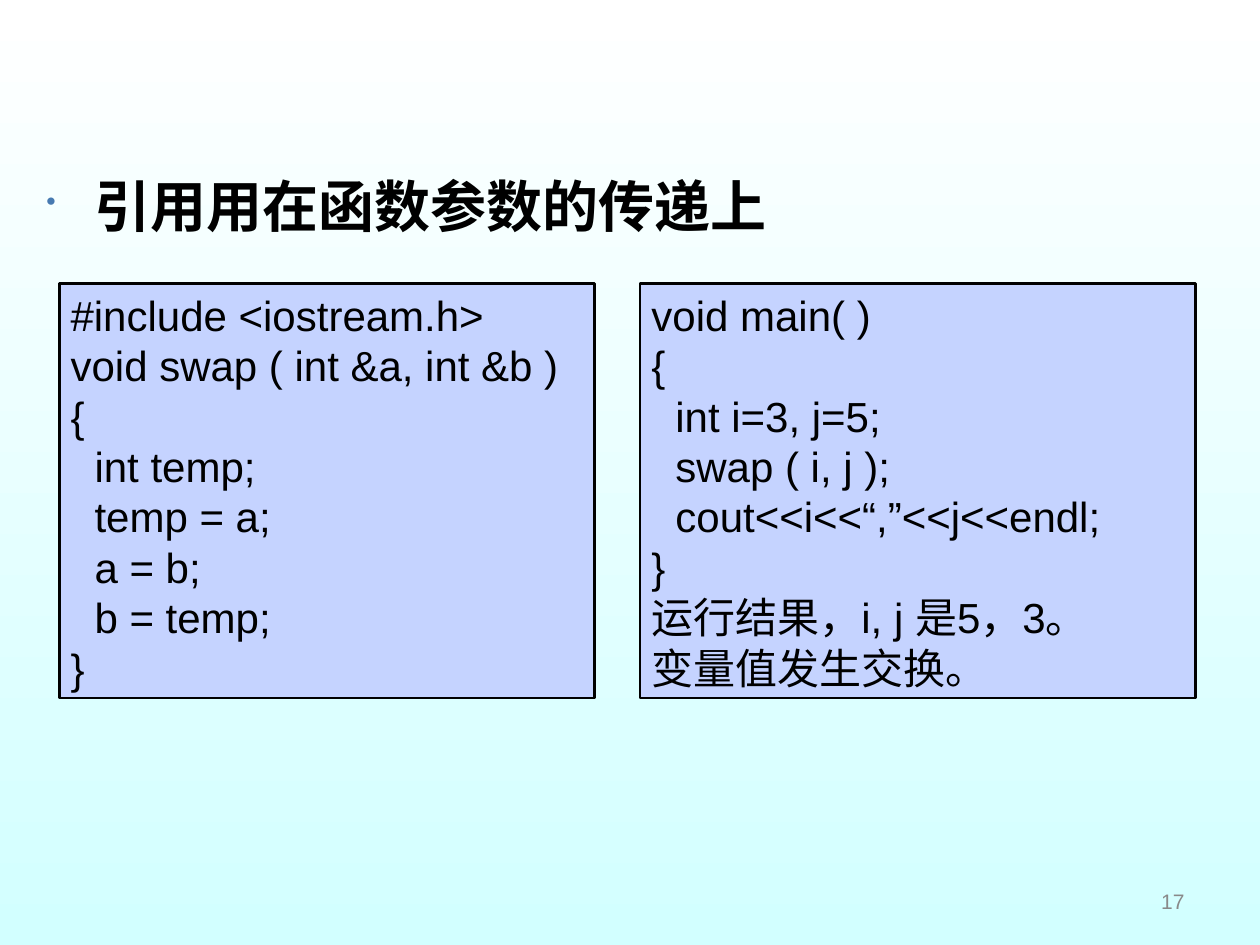
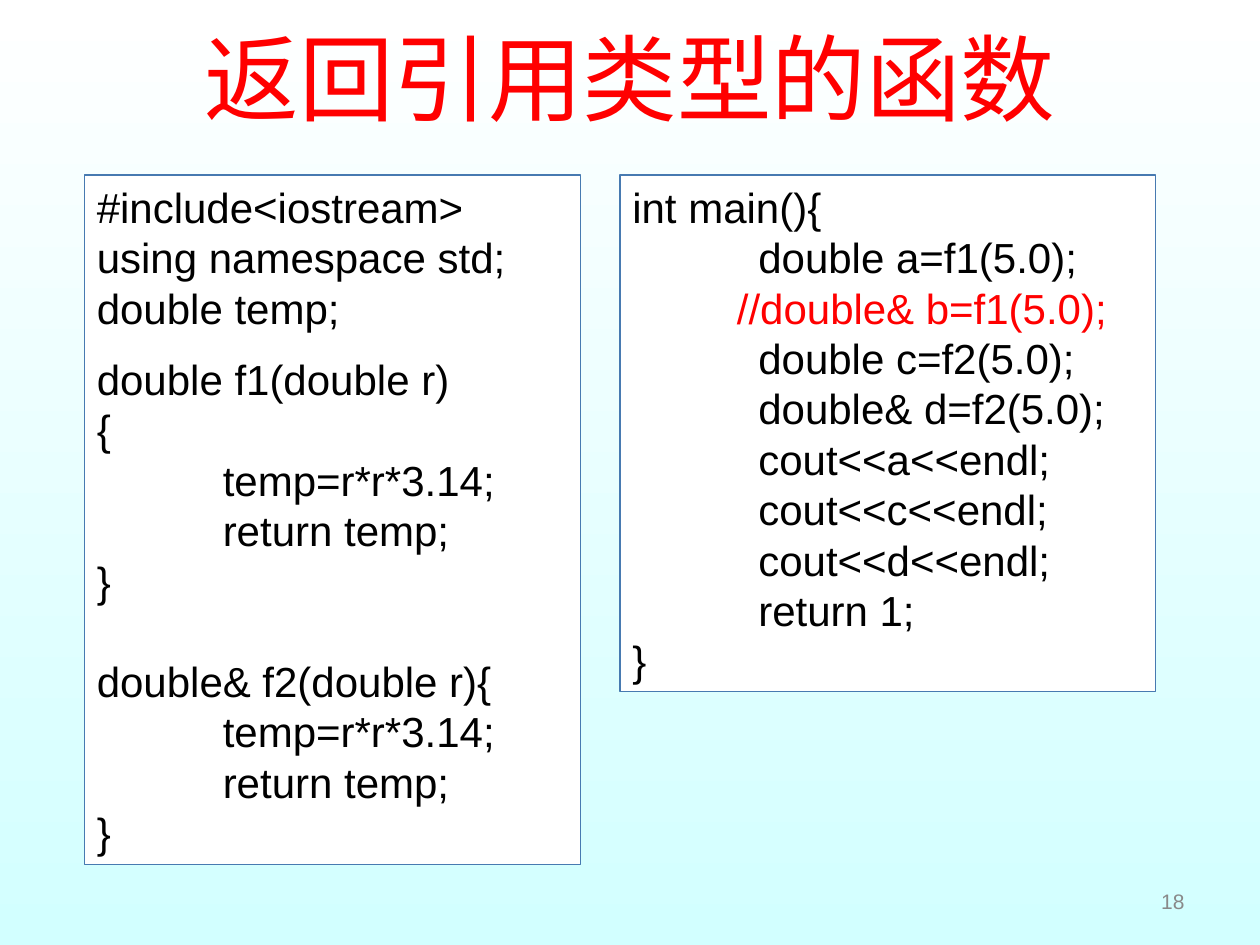
from pptx import Presentation
from pptx.dml.color import RGBColor as RGB
from pptx.enum.shapes import MSO_SHAPE as Shape
from pptx.enum.text import MSO_ANCHOR as Anchor, PP_ALIGN as Align
from pptx.oxml import parse_xml
from pptx.oxml.ns import nsdecls
from pptx.util import Inches, Pt

BLACK = RGB(0, 0, 0)
WHITE = RGB(255, 255, 255)
AQUA = RGB(0xD2, 0xFF, 0xFF)
BLUE = RGB(0x47, 0x7A, 0xB1)
LILAC = RGB(0xC5, 0xD3, 0xFF)
GRAY = RGB(0x89, 0x89, 0x89)
RED = RGB(255, 0, 0)


def write(par, text, size=24, font="Arial", color=BLACK, bold=False,
          align=Align.LEFT, indent=0, gap=0, lead=None):
    par.alignment = align
    par.space_before = Pt(gap)
    if lead:
        par.line_spacing = lead
    if indent:
        par._p.get_or_add_pPr().set("marL", str(Inches(indent)))
    run = par.add_run()
    run.text = text
    run.font.size = Pt(size)
    run.font.name = font
    run.font.bold = bold
    run.font.color.rgb = color


class Deck:
    def __init__(self):
        self.prs = Presentation()
        self.prs.slide_width = Inches(10)
        self.prs.slide_height = Inches(7.5)

    def page(self, number):
        self.slide = self.prs.slides.add_slide(self.prs.slide_layouts[6])
        fill = self.slide.background.fill
        fill.gradient()
        fill.gradient_angle = 270
        for stop, color in zip(fill.gradient_stops, (WHITE, AQUA)):
            stop.color.rgb = color
        self.label((7.17, 6.95, 2.33, 0.4), str(number), size=12,
                   color=GRAY, align=Align.RIGHT)

    def label(self, box, text, anchor=Anchor.MIDDLE, **style):
        frame = self.slide.shapes.add_textbox(*map(Inches, box)).text_frame
        frame.word_wrap = True
        frame.vertical_anchor = anchor
        write(frame.paragraphs[0], text, **style)
        return frame.paragraphs[0]

    def title(self, text):
        self.label((0.5, 0.3, 9, 0.61), text, size=54, font="Roboto",
                   color=RED, align=Align.CENTER)

    def bullet(self, text):
        par = self.label((0.27, 1.15, 9.37, 6.06), text, anchor=Anchor.TOP,
                         size=32, font="Cambria", bold=True,
                         indent=0.38, gap=8, lead=1.3)
        props = par._p.get_or_add_pPr()
        props.set("indent", str(-Inches(0.38)))
        for mark in (f'<a:buClr {nsdecls("a")}><a:srgbClr val="{BLUE}"/></a:buClr>',
                     f'<a:buSzPct {nsdecls("a")} val="50000"/>',
                     f'<a:buChar {nsdecls("a")} char="•"/>'):
            props.append(parse_xml(mark))

    def code(self, box, lines, fill=WHITE, edge=BLUE, width=0.74,
             anchor=Anchor.TOP, inset=0.1):
        rect = self.slide.shapes.add_shape(Shape.RECTANGLE, *map(Inches, box))
        rect.shadow.inherit = False
        rect.fill.solid()
        rect.fill.fore_color.rgb = fill
        rect.line.color.rgb = edge
        rect.line.width = Pt(width)
        frame = rect.text_frame
        frame.word_wrap = True
        frame.vertical_anchor = anchor
        frame.margin_left = frame.margin_right = Inches(inset)
        for row, (text, style) in enumerate(lines):
            par = frame.add_paragraph() if row else frame.paragraphs[0]
            write(par, text, **style)


def rows(*texts, **style):
    return [(text, style) for text in texts]


deck = Deck()

deck.page(17)
deck.bullet("引用用在函数参数的传递上")
look = dict(fill=LILAC, edge=BLACK, width=1.5, anchor=Anchor.MIDDLE, inset=0.09)
deck.code((0.47, 2.25, 4.25, 3.29),
          rows("#include <iostream.h>", "void swap ( int &a, int &b )", "{")
          + rows("int temp;", "temp = a;", "a = b;", "b = temp;", indent=0.19)
          + rows("}"), **look)
deck.code((5.08, 2.25, 4.41, 3.29),
          rows("void main( )", "{")
          + rows("int i=3, j=5;", "swap ( i, j );", "cout<<i<<“,”<<j<<endl;",
                 indent=0.19)
          + rows("}", "运行结果，i, j 是5，3。", "变量值发生交换。"), **look)

deck.page(18)
deck.title("返回引用类型的函数")
body = rows("temp=r*r*3.14;", "return temp;", indent=1)
deck.code((0.67, 1.39, 3.94, 5.47),
          rows("#include<iostream>", "using namespace std;", "double temp;")
          + rows("double f1(double r)", gap=12) + rows("{") + body + rows("}")
          + rows("double& f2(double r){", gap=28.5) + body + rows("}"))
deck.code((4.92, 1.39, 4.25, 4.1),
          rows("int main(){")
          + rows("double a=f1(5.0);", indent=1)
          + rows("//double& b=f1(5.0);", indent=0.83, color=RED)
          + rows("double c=f2(5.0);", "double& d=f2(5.0);", "cout<<a<<endl;",
                 "cout<<c<<endl;", "cout<<d<<endl;", "return 1;", indent=1)
          + rows("}"))

deck.prs.save("out.pptx")
